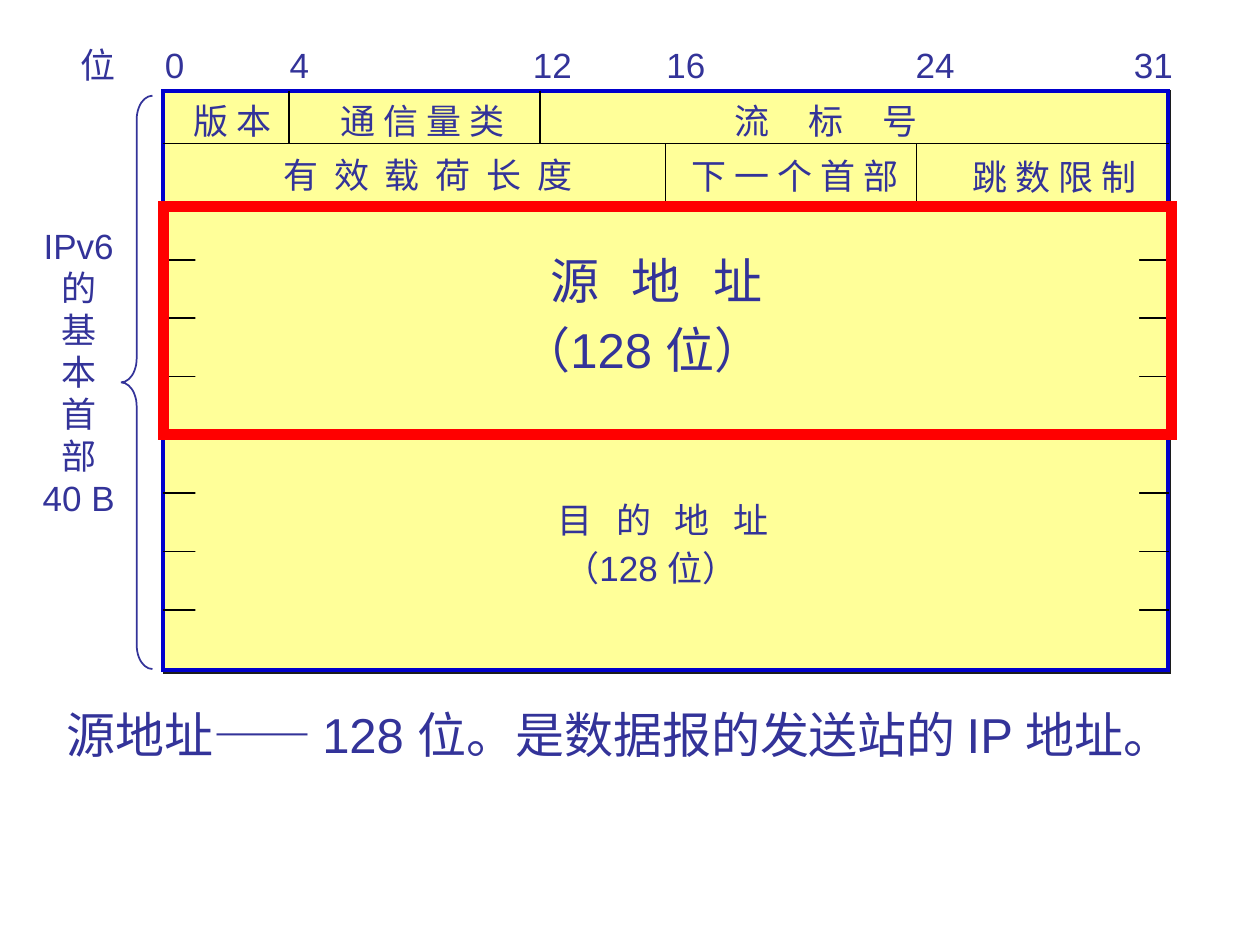
from pptx import Presentation
from pptx.dml.color import RGBColor
from pptx.enum.shapes import MSO_CONNECTOR, MSO_SHAPE
from pptx.enum.text import MSO_AUTO_SIZE, PP_ALIGN
from pptx.oxml.ns import qn
from pptx.util import Pt
from lxml import etree

RECT, BRACE = MSO_SHAPE.RECTANGLE, MSO_SHAPE.LEFT_BRACE
STRAIGHT = MSO_CONNECTOR.STRAIGHT
CENTER, LEFT = PP_ALIGN.CENTER, PP_ALIGN.LEFT
FIT = MSO_AUTO_SIZE.SHAPE_TO_FIT_TEXT

YELLOW = RGBColor(0xFF, 0xFF, 0x99)
BLUE = RGBColor(0x00, 0x00, 0xCC)
INDIGO = RGBColor(0x33, 0x33, 0x99)
BLACK = RGBColor(0, 0, 0)
RED = RGBColor(0xFF, 0, 0)
SHADOW = "1C1C1C"
FONT = "Arial"

# text, left, width
BIT_LABELS = [("位", 39, 36), ("0", 87.2, 26), ("4", 158.4, 26), ("12", 297.4, 38),
              ("16", 373.7, 38), ("24", 516.2, 38), ("31", 640.8, 38)]
# text, left, top, width, size, gap between characters in spaces
FIELDS = [
    ("版 本", 103.3, 53.3, 60, 20, 1),
    ("通 信 量 类", 187.4, 53.3, 109, 20, 1),
    ("流 标 号", 412.6, 53.3, 122, 20, 5),
    ("有 效 载 荷 长 度", 154.8, 84.2, 182, 20, 2),
    ("下 一 个 首 部", 388.1, 85, 134, 20, 1),
    ("跳 数 限 制", 548.6, 85.3, 109, 20, 1),
    ("源 地 址", 307.4, 139.7, 139, 28, 3),
    ("（128 位）", 290.9, 179.3, 166.3, 28, 1),
    ("目 的 地 址", 311.6, 281.5, 139, 20, 3),
    ("（128 位）", 315.4, 308.9, 123.1, 20, 1),
]
SIDE_LABEL = ["IPv6", "的", "基", "本", "首", "部", "40 B"]
CAPTION = "源地址—— 128 位。是数据报的发送站的 IP 地址。"

X, Y, W, H = 93.4, 51.84, 573.84, 331.2
FIRST_ROW, ROW, BITS = 82, 33.3, 32
SPACE_EM = 0.224  # width of a space in the East Asian font


def add_shape(s, kind, x, y, w, h, fill=None, line=None, weight=1):
    sp = s.shapes.add_shape(kind, Pt(x), Pt(y), Pt(w), Pt(h))
    sp.shadow.inherit = False
    if fill is None:
        sp.fill.background()
    else:
        sp.fill.solid()
        sp.fill.fore_color.rgb = fill
    if line is None:
        sp.line.fill.background()
    else:
        sp.line.color.rgb = line
        sp.line.width = Pt(weight)
        etree.SubElement(sp.element.spPr.find(qn("a:ln")), qn("a:miter"), lim="800000")
    return sp


def add_line(s, x1, y1, x2, y2):
    cx = s.shapes.add_connector(STRAIGHT, Pt(x1), Pt(y1), Pt(x2), Pt(y2))
    cx.line.color.rgb = BLACK
    cx.line.width = Pt(1)
    etree.SubElement(cx.element.spPr, qn("a:effectLst"))


def add_text(s, lines, x, y, w, h, size=20, gap=1, align=LEFT, wrap=False):
    """Add a text box; a gap above 1 spreads the characters apart."""
    tf = s.shapes.add_textbox(Pt(x), Pt(y), Pt(w), Pt(h)).text_frame
    tf.word_wrap = wrap
    tf.auto_size = FIT
    tf.text = "\n".join(lines)
    for p in tf.paragraphs:
        p.alignment = align
        if gap > 1:
            r = p.runs[0]
            last = r.text[-1]
            r.text = r.text[:-1]
            spacing = (gap - 1) * SPACE_EM * size / 2
            r.font.size = Pt(size)
            r.font._element.set("spc", str(round(spacing * 100)))
            p.add_run().text = last
        for r in p.runs:
            r.font.size = Pt(size)
            r.font.name = FONT
            r.font.color.rgb = INDIGO
    return tf


def bit_x(bit):
    return X + bit * W / BITS


prs = Presentation()
prs.slide_width, prs.slide_height = Pt(720), Pt(540)
s = prs.slides.add_slide(prs.slide_layouts[6])

header = add_shape(s, RECT, X, Y, W, H, YELLOW, BLUE, 2.25)
effects = header.element.spPr.find(qn("a:effectLst"))
shadow = etree.SubElement(effects, qn("a:outerShdw"), dist=str(Pt(1.4)), dir="2700000")
etree.SubElement(shadow, qn("a:srgbClr"), val=SHADOW)

for row in range(9):
    y = FIRST_ROW + row * ROW
    add_line(s, X, y, X + W + 1, y)
for bit, top, bottom in [(4, Y, FIRST_ROW), (12, Y, FIRST_ROW),
                         (16, FIRST_ROW, FIRST_ROW + ROW),
                         (24, FIRST_ROW, FIRST_ROW + ROW)]:
    add_line(s, bit_x(bit), top, bit_x(bit), bottom)

# Yellow panels leave only the ends of the row lines showing as ticks
for top in (137.5, 270.7):
    add_shape(s, RECT, 111.6, top, 539.3, 89, YELLOW)

for text, left, width in BIT_LABELS:
    add_text(s, [text], left, 21.6, width, 31)
for text, x, y, w, size, gap in FIELDS:
    add_text(s, [text], x, y, w, 40 if size == 28 else 31, size, gap)

brace = add_shape(s, BRACE, 69.1, 54.7, 18, 327.6, line=INDIGO)
brace.adjustments[0] = 0.76
add_text(s, SIDE_LABEL, 17.3, 124.6, 55.4, 198.7, align=CENTER)

add_shape(s, RECT, X, 118.1, 576, 130.3, line=RED, weight=6)
tf = add_text(s, [CAPTION], 31, 397.4, 680.4, 42.5, 28, wrap=True)
tf.paragraphs[0].line_spacing = 1.05

prs.save("out.pptx")
